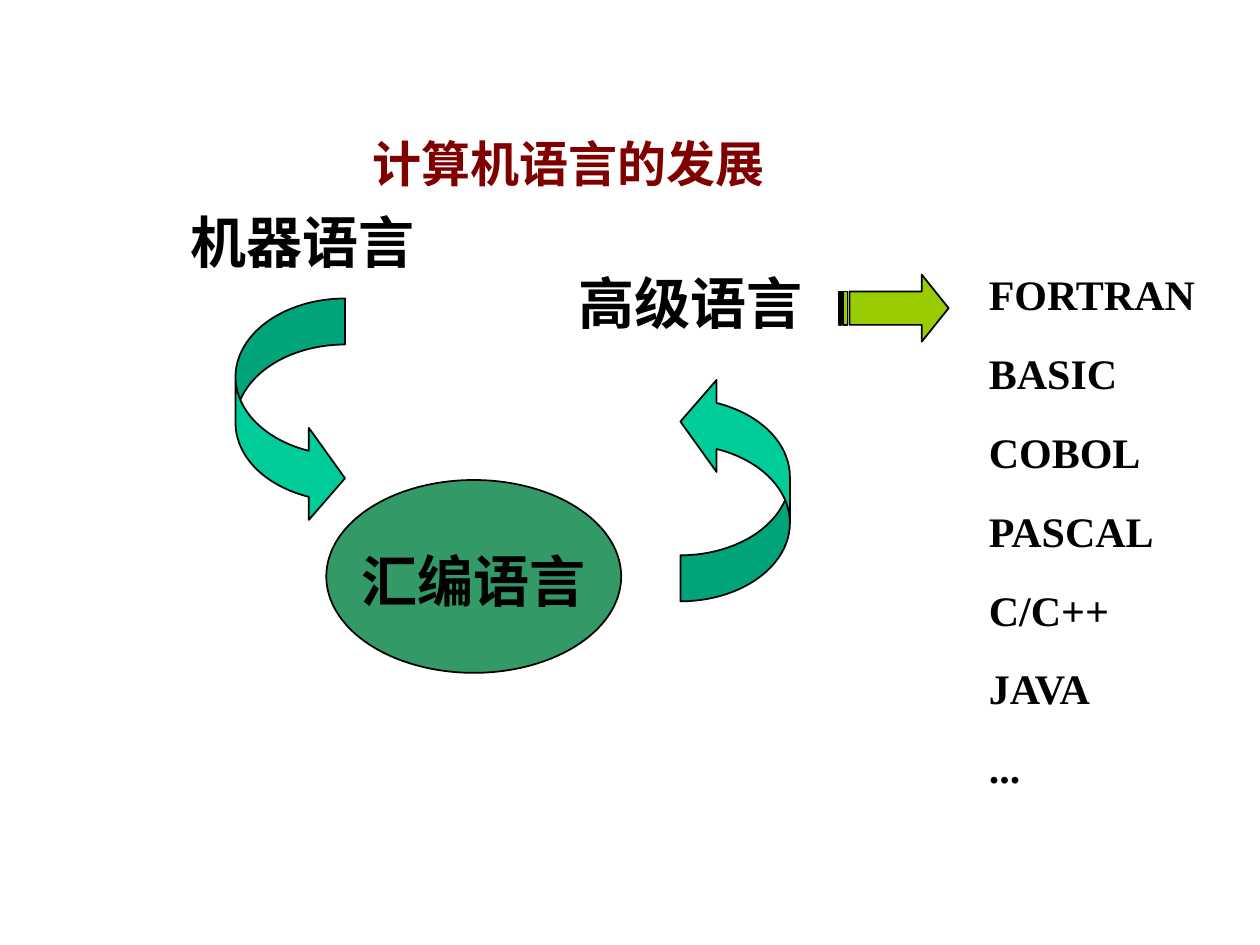
from pptx import Presentation
from pptx.dml.color import RGBColor
from pptx.enum.shapes import MSO_SHAPE
from pptx.enum.text import MSO_ANCHOR, PP_ALIGN
from pptx.oxml.ns import qn
from pptx.util import Pt

ELLIPSE = MSO_SHAPE.OVAL
CURVED_ARROW = MSO_SHAPE.CURVED_RIGHT_ARROW
STRIPED_ARROW = MSO_SHAPE.STRIPED_RIGHT_ARROW
MIDDLE, CENTER = MSO_ANCHOR.MIDDLE, PP_ALIGN.CENTER

COLORS = {
    "title": "800000",
    "text": "000000",
    "outline": "000000",
    "assembly": "339966",
    "step": "00CC99",
    "examples": "99CC00",
}
LATIN_FONT = "Times New Roman"
CJK_FONT = "Noto Sans CJK SC"

TITLE = "计算机语言的发展"
TITLE_BOX = (54, 48, 612, 90)
TITLE_RIGHT_INDENT = 70

# Language generation, left, top
GENERATIONS = [
    ("机器语言", 101.5, 115.2),
    ("汇编语言", 199.4, 308.9),
    ("高级语言", 323.3, 149.8),
]
GENERATION_SIZE = (150.5, 46)

EXAMPLES = ["FORTRAN", "BASIC", "COBOL", "PASCAL", "C/C++", "JAVA", "..."]
EXAMPLES_BOX = (558, 149.8, 144, 342.7)
EXAMPLES_GAP = 16.3

# Preset, box, colour, rotation, adjustments
CURVE = (0.42, 0.84, 0.33)
SHAPES = [
    (ELLIPSE, (186.5, 274.3, 168.5, 110.2), "assembly", 0, ()),
    (CURVED_ARROW, (134.6, 170.6, 62.6, 129), "step", 0, CURVE),
    (CURVED_ARROW, (388.8, 214.6, 62.6, 129), "step", 180, CURVE),
    (STRIPED_ARROW, (479.5, 157, 62.6, 38.2), "examples", 0, (0.5, 0.4)),
]


def points(box):
    return [Pt(value) for value in box]


def add_figure(slide, preset, box, color, rotation, adjustments):
    figure = slide.shapes.add_shape(preset, *points(box))
    figure.shadow.inherit = False
    figure.rotation = rotation
    for index, value in enumerate(adjustments):
        figure.adjustments[index] = value
    figure.fill.solid()
    figure.fill.fore_color.rgb = RGBColor.from_string(COLORS[color])
    figure.line.color.rgb = RGBColor.from_string(COLORS["outline"])
    figure.line.width = Pt(1)


def add_text(slide, box, lines, size, font, color="text", gap=0):
    frame = slide.shapes.add_textbox(*points(box)).text_frame
    frame.word_wrap = True
    for index, line in enumerate(lines):
        paragraph = frame.add_paragraph() if index else frame.paragraphs[0]
        if index:
            paragraph.space_before = Pt(gap)
        run = paragraph.add_run()
        run.text = line
        run.font.size = Pt(size)
        run.font.bold = True
        run.font.color.rgb = RGBColor.from_string(COLORS[color])
        run.font.name = font
        east_asian = run.font._element.makeelement(qn("a:ea"), {"typeface": CJK_FONT})
        run.font._element.find(qn("a:latin")).addnext(east_asian)
    return frame


def main():
    deck = Presentation()
    deck.slide_width, deck.slide_height = Pt(720), Pt(540)
    slide = deck.slides.add_slide(deck.slide_layouts[6])

    title = add_text(slide, TITLE_BOX, [TITLE], 28, LATIN_FONT, "title")
    title.vertical_anchor = MIDDLE
    title.paragraphs[0].alignment = CENTER
    title.paragraphs[0]._p.get_or_add_pPr().set("marR", str(Pt(TITLE_RIGHT_INDENT)))

    for figure in SHAPES:
        add_figure(slide, *figure)
    for name, left, top in GENERATIONS:
        add_text(slide, (left, top, *GENERATION_SIZE), [name], 32, CJK_FONT)
    add_text(slide, EXAMPLES_BOX, EXAMPLES, 24, LATIN_FONT, gap=EXAMPLES_GAP)

    deck.save("out.pptx")


if __name__ == "__main__":
    main()
